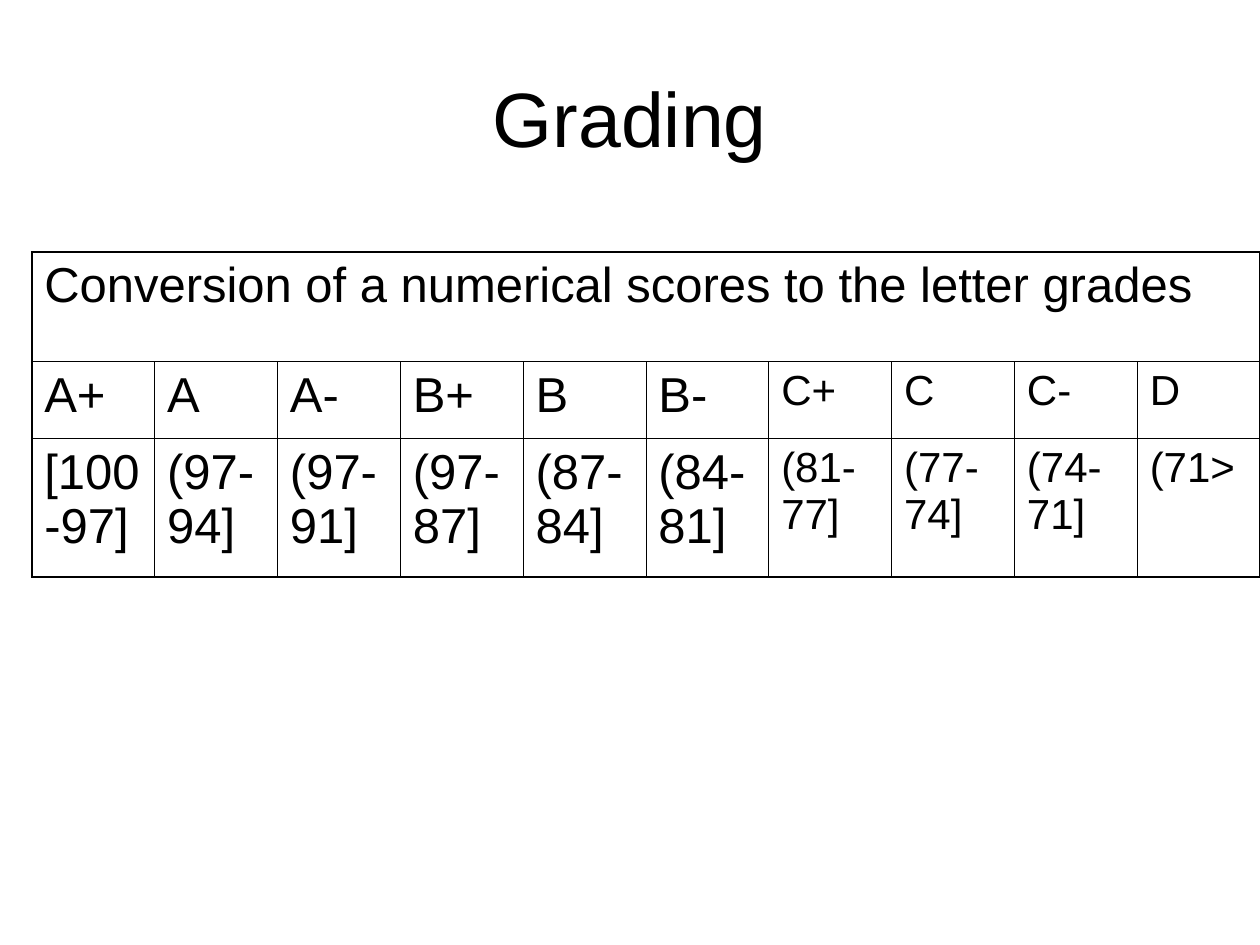
from lxml import etree
from pptx import Presentation, util as u
from pptx.dml.color import RGBColor
from pptx.enum import text
from pptx.oxml.ns import qn

# Content
heading = "Grading"
caption = "Conversion of a numerical scores to the letter grades"
grades = [
    ("A+", "[100-97]"), ("A", "(97-94]"), ("A-", "(97-91]"), ("B+", "(97-87]"),
    ("B", "(87-84]"), ("B-", "(84-81]"), ("C+", "(81-77]"), ("C", "(77-74]"),
    ("C-", "(74-71]"), ("D", "(71>"),
]
large_count = 6  # grades set in the larger size

# Format
BLACK = "000000"
title_format = {"size": u.Pt(44), "name": "Arial"}
large_format = {"size": u.Pt(28), "name": "Arial"}
small_format = {"size": u.Pt(24), "name": "Arial"}
outer_line, inner_line = u.Pt(1.08), u.Pt(0.45)
row_heights = [u.Cm(2.21), u.Cm(1.55), u.Cm(2.79)]
scale_left, scale_top, scale_width = u.Cm(0.64), u.Cm(5.08), u.Cm(24.76)


def color(hex_code):
    return RGBColor.from_string(hex_code)


def write(frame, words, font_format, **paragraph_format):
    paragraph = frame.paragraphs[0]
    for key, value in paragraph_format.items():
        setattr(paragraph, key, value)
    run = paragraph.add_run()
    run.text = words
    for key, value in font_format.items():
        setattr(run.font, key, value)
    run.font.color.rgb = color(BLACK)


def draw_borders(cell, widths):
    properties = cell._tc.get_or_add_tcPr()
    for place, (side, width) in enumerate(widths.items()):
        line = etree.Element(qn(f"a:ln{side}"), w=str(int(width)))
        fill = etree.SubElement(line, qn("a:solidFill"))
        etree.SubElement(fill, qn("a:srgbClr"), val=BLACK)
        properties.insert(place, line)


deck = Presentation()
deck.slide_width, deck.slide_height = u.Cm(25.4), u.Cm(19.05)
slide = deck.slides.add_slide(deck.slide_layouts[6])

# Title
title = slide.shapes.add_textbox(u.Cm(1.27), u.Cm(0.76), u.Cm(22.86), u.Cm(3.18)).text_frame
title.word_wrap = True
title.vertical_anchor = text.MSO_ANCHOR.MIDDLE
write(title, heading, title_format, alignment=text.PP_ALIGN.CENTER)

# Grade scale
row_count, column_count = len(row_heights), len(grades)
scale = slide.shapes.add_table(row_count, column_count, scale_left, scale_top,
                               scale_width, sum(row_heights)).table
scale.first_row = scale.horz_banding = False
for row, height in zip(scale.rows, row_heights):
    row.height = height
for column in scale.columns:
    column.width = scale_width // column_count

for r in range(row_count):
    for c in range(column_count):
        cell = scale.cell(r, c)
        cell.fill.background()
        draw_borders(cell, {
            "L": inner_line if c else outer_line,
            "R": outer_line if c == column_count - 1 or r == 0 else inner_line,
            "T": inner_line if r else outer_line,
            "B": outer_line if r == row_count - 1 else inner_line,
        })

scale.cell(0, 0).merge(scale.cell(0, column_count - 1))
write(scale.cell(0, 0).text_frame, caption, large_format, space_before=u.Pt(7))
for c, grade in enumerate(grades):
    font_format, gap = (large_format, 7) if c < large_count else (small_format, 6)
    for r, words in enumerate(grade, start=1):
        write(scale.cell(r, c).text_frame, words, font_format, space_before=u.Pt(gap))

deck.save("out.pptx")
